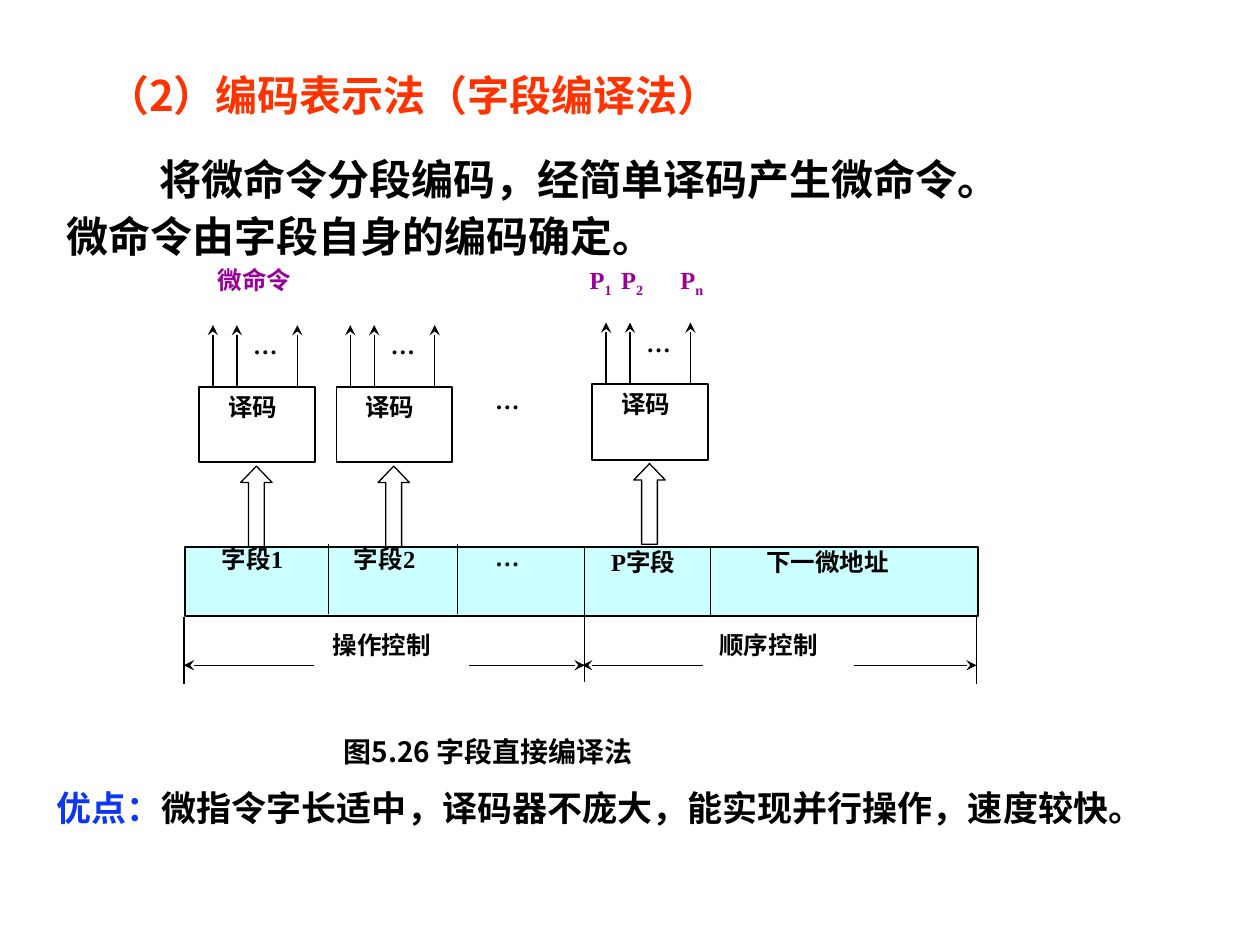
from lxml import etree
from pptx import Presentation
from pptx.dml.color import RGBColor
from pptx.enum.shapes import MSO_CONNECTOR, MSO_SHAPE
from pptx.enum.text import MSO_ANCHOR, MSO_AUTO_SIZE, PP_ALIGN
from pptx.oxml.ns import qn
from pptx.util import Pt

PX = 9144
BLACK = RGBColor(0x00, 0x00, 0x00)
ORANGE = RGBColor(0xFF, 0x33, 0x00)
BLUE = RGBColor(0x0D, 0x38, 0xEF)
PURPLE = RGBColor(0x99, 0x00, 0x99)
CYAN = RGBColor(0xCC, 0xFF, 0xFF)
SANS = "Noto Sans CJK SC"
SERIF = "Times New Roman"
JUSTIFY, LEFT = PP_ALIGN.JUSTIFY, PP_ALIGN.LEFT
TOP = MSO_ANCHOR.TOP
NO_FIT = MSO_AUTO_SIZE.NONE
STRAIGHT = MSO_CONNECTOR.STRAIGHT
RECT, UP_ARROW = MSO_SHAPE.RECTANGLE, MSO_SHAPE.UP_ARROW


def px(*values):
    return [v * PX for v in values]


def format_run(r, size, font, color):
    r.font.size = Pt(size)
    r.font.bold = True
    r.font.name = font
    r.font.color.rgb = color
    ea = etree.SubElement(r._r.get_or_add_rPr(), qn("a:ea"))
    ea.set("typeface", SANS)


def add_text(slide, box, parts, size, font, align=LEFT, inset=True):
    sp = slide.shapes.add_textbox(*px(*box))
    tf = sp.text_frame
    tf.word_wrap = True
    if not inset:
        tf.margin_left = tf.margin_right = tf.margin_top = tf.margin_bottom = 0
    p = tf.paragraphs[0]
    p.alignment = align
    for text, color in parts:
        r = p.add_run()
        r.text = text
        format_run(r, size, font, color)
    return p


def add_label(slide, x, y, w, text, color=BLACK, size=14, font=SERIF, h=47):
    return add_text(slide, (x, y, w, h), [(text, color)], size, font, JUSTIFY, False)


def add_line(slide, x1, y1, x2, y2, arrow=False):
    cn = slide.shapes.add_connector(STRAIGHT, *px(x1, y1, x2, y2))
    cn.line.color.rgb = BLACK
    cn.line.width = Pt(0.75)
    if arrow:
        tail = etree.SubElement(cn.line._get_or_add_ln(), qn("a:tailEnd"))
        tail.set("type", "stealth")
    etree.SubElement(cn._element.spPr, qn("a:effectLst"))


def add_outline(slide, kind, box, width, fill=None):
    sp = slide.shapes.add_shape(kind, *px(*box))
    sp.shadow.inherit = False
    if fill is None:
        sp.fill.background()
    else:
        sp.fill.solid()
        sp.fill.fore_color.rgb = fill
    sp.line.color.rgb = BLACK
    sp.line.width = Pt(width)
    return sp


def add_title(slide, x, y, w, h):
    sp = slide.shapes.title
    sp.left, sp.top, sp.width, sp.height = px(x, y, w, h)
    tf = sp.text_frame
    tf.text = "（2）编码表示法（字段编译法）"
    tf.auto_size = NO_FIT
    tf.vertical_anchor = TOP
    p = tf.paragraphs[0]
    p.alignment = JUSTIFY
    p._p.get_or_add_pPr().set("indent", str(33 * PX))
    format_run(p.runs[0], 24, SANS, ORANGE)


def add_body(slide, x, y, w):
    add_text(slide, (x + 74, y, w, 83),
             [("将微命令分段编码，经简单译码产生微命令。", BLACK)], 24, SANS)
    add_text(slide, (x, y + 45, w, 50),
             [("微命令由字段自身的编码确定。", BLACK)], 24, SANS)


def add_decoder(slide, x, y):
    add_label(slide, x + 23, y + 53, 48, "译码")
    add_outline(slide, RECT, (x, y + 49, 92, 60), 1)
    arrow = add_outline(slide, UP_ARROW, (x + 33, y + 112, 25, 64), 0.75)
    arrow.adjustments[0] = 0.5
    arrow.adjustments[1] = 0.52
    for dx in (11, 30, 78):
        add_line(slide, x + dx, y + 48, x + dx, y, True)
    add_label(slide, x + 43, y + 4, 22, "…")


def add_outputs(slide, x, y):
    add_label(slide, x, y, 76, "微命令", PURPLE)
    for dx, sub in ((295, "1"), (320, "2"), (367, "n")):
        p = add_label(slide, x + dx, y, 36, "P", PURPLE)
        r = p.add_run()
        r.text = sub
        format_run(r, 14, SERIF, PURPLE)
        r.font._element.set("baseline", "-25000")


def add_instruction(slide, x, y, w, h):
    add_outline(slide, RECT, (x, y, w, h), 1, CYAN)
    fields = ((29, -2, 76, "字段1"), (134, -2, 76, "字段2"), (246, -4, 47, "…"),
              (338, 0, 73, "P字段"), (461, 0, 133, "下一微地址"))
    for dx, dy, width, text in fields:
        add_label(slide, x + dx, y + dy, width, text)
    for dx, dy in ((114, -2), (216, -2), (317, 0), (417, 0)):
        add_line(slide, x + dx, y + dy, x + dx, y + dy + h)


def add_spans(slide, x, y):
    for dx, dy in ((0, 0), (318, -2), (629, 0)):
        add_line(slide, x + dx, y + dy, x + dx, y + dy + 53)
    spans = ((0, 103, 226, 318, 118, "操作控制"),
             (316, 412, 532, 629, 425, "顺序控制"))
    for start, left, right, end, text_x, text in spans:
        add_line(slide, x + left, y + 38, x + start, y + 38, True)
        add_line(slide, x + right, y + 38, x + end, y + 38, True)
        add_label(slide, x + text_x, y + 10, 105, text)


def add_diagram(slide, x, y):
    add_instruction(slide, x + 1, y + 224, 629, 55)
    add_spans(slide, x, y + 280)
    for dx, dy in ((12, 48), (121, 48), (324, 46)):
        add_decoder(slide, x + dx, y + dy)
    add_label(slide, x + 247, y + 96, 47, "…")
    add_outputs(slide, x + 27, y)
    add_label(slide, x + 127, y + 373, 340, "图5.26 字段直接编译法", size=16, font=SANS, h=68)


def add_advantage(slide, x, y, w, h):
    add_text(slide, (x, y, w, h),
             [("优点：", BLUE),
              ("微指令字长适中，译码器不庞大，能实现并行操作，速度较快。", BLACK)], 20, SANS)


def main():
    prs = Presentation()
    prs.slide_width, prs.slide_height = px(1000, 750)
    slide = prs.slides.add_slide(prs.slide_layouts[5])
    add_title(slide, 42, 50, 1000, 90)
    add_body(slide, 43, 117, 1000)
    add_diagram(slide, 146, 210)
    add_advantage(slide, 35, 619, 1000, 77)
    prs.save("out.pptx")


if __name__ == "__main__":
    main()
